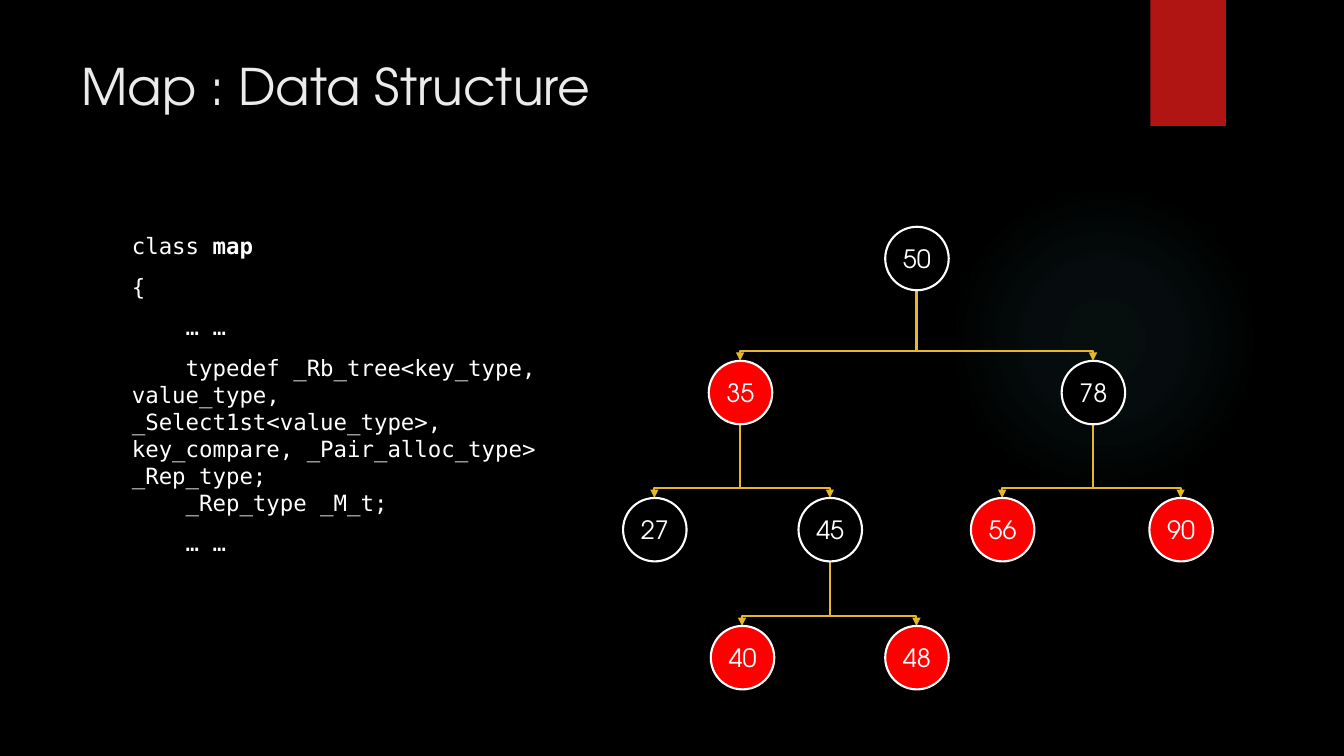
from lxml import etree
from pptx import Presentation, util as u
from pptx.dml.color import RGBColor
from pptx.enum import shapes, text
from pptx.oxml import parse_xml
from pptx.oxml.ns import nsdecls, qn

PX = 9144  # 100 px to the inch
SANS, MONO = "TeX Gyre Adventor", "DejaVu Sans Mono"
BLACK, WHITE, RED, GOLD = "000000", "FFFFFF", "FF0000", "E6B729"
NODE_SIZE = 63
ELBOW_GAP = 10
LEVEL_TOPS = [0, 133, 269, 396]

# value: (left, level, fill, parent)
NODES = {
    "50": (260, 0, BLACK, None),
    "35": (85, 1, RED, "50"),
    "78": (435, 1, BLACK, "50"),
    "27": (0, 2, BLACK, "35"),
    "45": (174, 2, BLACK, "35"),
    "56": (345, 2, RED, "78"),
    "90": (522, 2, RED, "78"),
    "40": (87, 3, RED, "45"),
    "48": (260, 3, RED, "45"),
}

# paragraphs of (text, bold) runs
CODE = [
    [("class ", False), ("map", True)],
    [("{", False)],
    [("    … …", False)],
    [("    typedef _Rb_tree<key_type, value_type, _Select1st<value_type>, "
      "key_compare, _Pair_alloc_type> _Rep_type;\v    _Rep_type _M_t;", False)],
    [("    … …", False)],
]


def px(*lengths):
    return [u.Emu(length * PX) for length in lengths]


def rgb(hex_string):
    return RGBColor.from_string(hex_string)


def style_font(font, color, **values):
    font.color.rgb = rgb(color)
    for name, value in values.items():
        setattr(font, name, value)


def add_plain_shape(slide, kind, box, fill):
    shape = slide.shapes.add_shape(kind, *px(*box))
    shape.shadow.inherit = False
    shape.fill.solid()
    shape.fill.fore_color.rgb = rgb(fill)
    shape.line.fill.background()
    return shape


def add_glow(slide, box):
    glow = add_plain_shape(slide, shapes.MSO_SHAPE.OVAL, box, BLACK)
    stops = "".join(
        f'<a:gs pos="{position}000"><a:srgbClr val="50B9C1">'
        f'<a:alpha val="{alpha}000"/></a:srgbClr></a:gs>'
        for position, alpha in [(0, 7), (36, 6), (69, 0), (100, 0)])
    gradient = parse_xml(
        f'<a:gradFill {nsdecls("a")} rotWithShape="1"><a:gsLst>{stops}</a:gsLst>'
        '<a:path path="circle"><a:fillToRect l="50000" t="50000" r="50000" b="50000"/>'
        '</a:path></a:gradFill>')
    properties = glow._element.spPr
    properties.replace(properties.find(qn("a:solidFill")), gradient)


def add_text_frame(slide, box):
    frame = slide.shapes.add_textbox(*px(*box)).text_frame
    frame.word_wrap = True
    return frame


def add_title(slide, box, title):
    run = add_text_frame(slide, box).paragraphs[0].add_run()
    run.text = title
    style_font(run.font, "EBEBEB", name=SANS, size=u.Pt(36))


def add_code(slide, box):
    frame = add_text_frame(slide, box)
    for index, runs in enumerate(CODE):
        paragraph = frame.add_paragraph() if index else frame.paragraphs[0]
        if index:
            paragraph.space_before = u.Pt(10)
        for words, bold in runs:
            for part, line in enumerate(words.split("\v")):
                if part:
                    paragraph.add_line_break()
                run = paragraph.add_run()
                run.text = line
                style_font(run.font, WHITE, name=MONO, size=u.Pt(16), bold=bold)


def add_branch(slide, start, end):
    """Draw an elbow arrow that goes down, across and down."""
    (x1, y1), (x2, y2) = start, end
    bend = y2 - ELBOW_GAP
    builder = slide.shapes.build_freeform(x1, y1, scale=PX)
    builder.add_line_segments([(x1, bend), (x2, bend), (x2, y2)], close=False)
    branch = builder.convert_to_shape()
    branch.shadow.inherit = False
    branch.fill.background()
    branch.line.color.rgb = rgb(GOLD)
    branch.line.width = u.Pt(1.5)
    etree.SubElement(branch.line._get_or_add_ln(), qn("a:tailEnd"), type="triangle")


def add_node(slide, left, top, value, fill):
    box = (left, top, NODE_SIZE, NODE_SIZE)
    node = add_plain_shape(slide, shapes.MSO_SHAPE.OVAL, box, fill)
    node.line.color.rgb = rgb(WHITE)
    node.line.width = u.Pt(1.5)
    frame = node.text_frame
    settings = dict(margin_left=0, margin_right=0, margin_top=0, margin_bottom=0,
                    word_wrap=False, vertical_anchor=text.MSO_ANCHOR.MIDDLE)
    for name, setting in settings.items():
        setattr(frame, name, setting)
    paragraph = frame.paragraphs[0]
    paragraph.alignment = text.PP_ALIGN.CENTER
    run = paragraph.add_run()
    run.text = value
    style_font(run.font, WHITE, name=SANS, size=u.Pt(18))


def add_tree(slide, left, top):
    corners = {value: (left + x, top + LEVEL_TOPS[level])
               for value, (x, level, _, _) in NODES.items()}
    half = NODE_SIZE // 2
    for value, (_, _, _, parent) in NODES.items():
        if parent:
            parent_x, parent_y = corners[parent]
            x, y = corners[value]
            add_branch(slide, (parent_x + half, parent_y + NODE_SIZE), (x + half, y))
    for value, (_, _, fill, _) in NODES.items():
        add_node(slide, *corners[value], value, fill)


def main():
    deck = Presentation()
    deck.slide_width, deck.slide_height = px(1333, 750)
    slide = deck.slides.add_slide(deck.slide_layouts[6])
    slide.background.fill.solid()
    slide.background.fill.fore_color.rgb = rgb(BLACK)
    add_glow(slide, (941, 183, 308, 308))
    add_plain_shape(slide, shapes.MSO_SHAPE.RECTANGLE, (1141, 0, 75, 125), "B01513")
    add_title(slide, (71, 50, 1029, 153), "Map : Data Structure")
    add_code(slide, (121, 225, 481, 459))
    add_tree(slide, 618, 225)
    deck.save("out.pptx")


if __name__ == "__main__":
    main()
